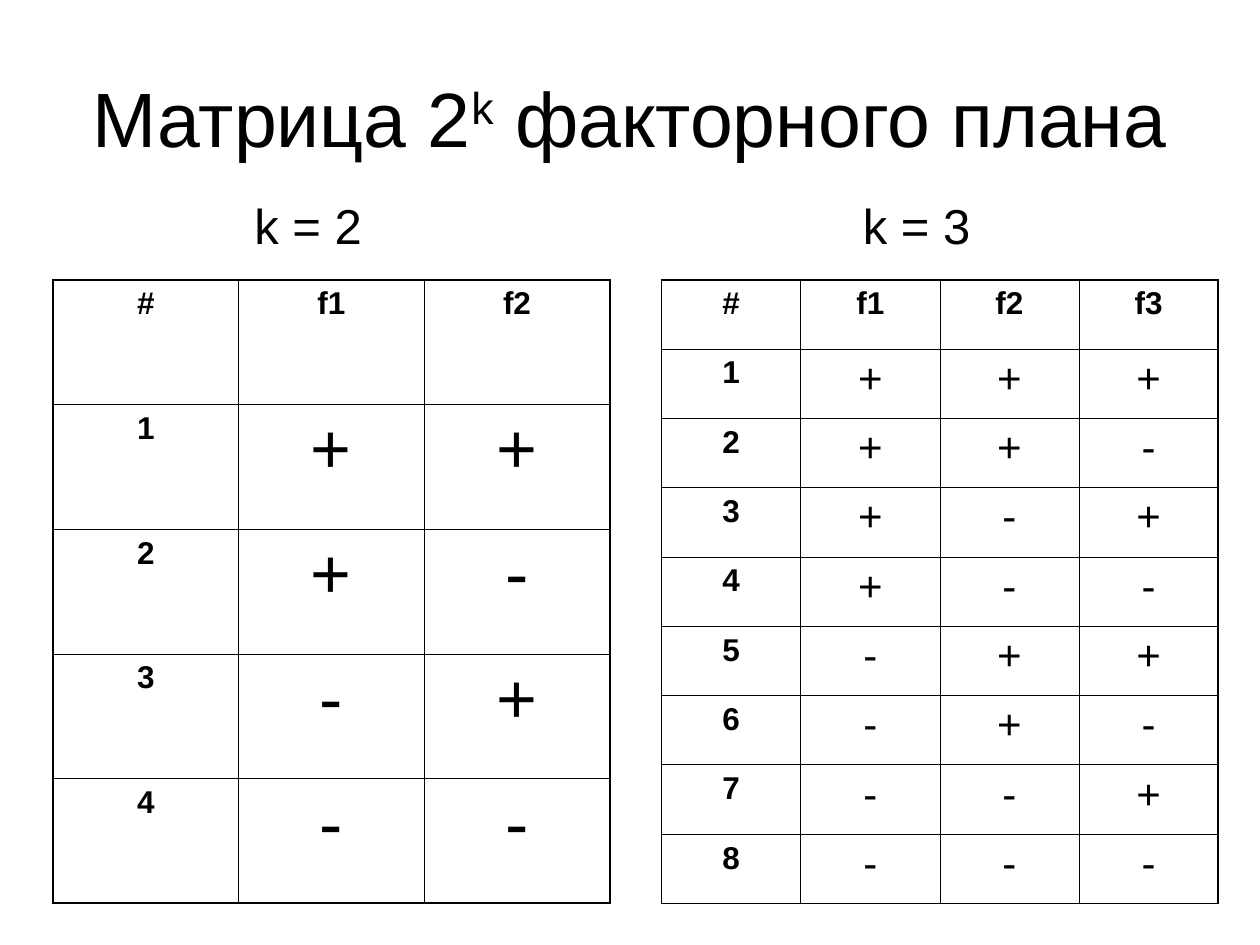
from itertools import product

from lxml import etree
from pptx import Presentation
from pptx import util as u
from pptx.dml import color
from pptx.enum import text
from pptx.oxml import ns

INK = "000000"
FONT = "Arial"
THIN, THICK = 0.45, 1.08


def rgb(value):
    return color.RGBColor.from_string(value)


def add_span(para, words, size, bold=False):
    span = para.add_run()
    span.text = words
    span.font.name = FONT
    span.font.size = u.Pt(size)
    span.font.bold = bold
    span.font.color.rgb = rgb(INK)
    return span


def add_box(page, left, top, width, height, wrap):
    box = page.shapes.add_textbox(*map(u.Inches, (left, top, width, height)))
    box.text_frame.word_wrap = wrap
    return box.text_frame


def add_title(page, left, top, width, height):
    frame = add_box(page, left, top, width, height, True)
    frame.vertical_anchor = text.MSO_ANCHOR.MIDDLE
    para = frame.paragraphs[0]
    para.alignment = text.PP_ALIGN.CENTER
    add_span(para, "Матрица 2", 44)
    exponent = add_span(para, "k", 44)
    exponent.font._element.set("baseline", "30000")
    add_span(para, " факторного плана", 44)


def set_border(cell, side, width):
    line = etree.SubElement(cell._tc.get_or_add_tcPr(), ns.qn(f"a:ln{side}"),
                            w=str(u.Pt(width)))
    fill = etree.SubElement(line, ns.qn("a:solidFill"))
    etree.SubElement(fill, ns.qn("a:srgbClr"), val=INK)


def add_plan(page, left, top, width, height, factors, sign_size):
    # Caption above the table
    caption = add_box(page, left + 1.5, top - 0.72, 1.05, 0.57, False)
    add_span(caption.paragraphs[0], f"k = {factors}", 28)

    # Every combination of signs, one numbered row each
    rows = [["#"] + [f"f{n}" for n in range(1, factors + 1)]]
    for number, signs in enumerate(product("+-", repeat=factors), 1):
        rows.append([str(number), *signs])
    last_row, last_col = len(rows) - 1, factors

    table = page.shapes.add_table(
        len(rows), factors + 1,
        *map(u.Inches, (left, top, width, height))).table
    table.first_row = table.horz_banding = False
    for column in table.columns:
        column.width = u.Inches(width / (factors + 1))
    for row in table.rows:
        row.height = u.Inches(height / len(rows))

    for r, values in enumerate(rows):
        for c, value in enumerate(values):
            cell = table.cell(r, c)
            # Thick outer frame, thin inner grid
            edges = {"L": c == 0, "R": c == last_col,
                     "T": r == 0, "B": r == last_row}
            for side, outer in edges.items():
                set_border(cell, side, THICK if outer else THIN)
            cell.fill.background()
            para = cell.text_frame.paragraphs[0]
            para.alignment = text.PP_ALIGN.CENTER
            heading = r == 0 or c == 0
            add_span(para, value, 18 if heading else sign_size, heading)


def main():
    deck = Presentation()
    deck.slide_width, deck.slide_height = u.Inches(10), u.Inches(7.5)
    page = deck.slides.add_slide(deck.slide_layouts[6])
    add_title(page, 0.5, 0.3, 9, 1.25)
    add_plan(page, 0.42, 2.22, 4.42, 4.95, factors=2, sign_size=40)
    add_plan(page, 5.25, 2.22, 4.42, 4.95, factors=3, sign_size=24)
    deck.save("out.pptx")


if __name__ == "__main__":
    main()
